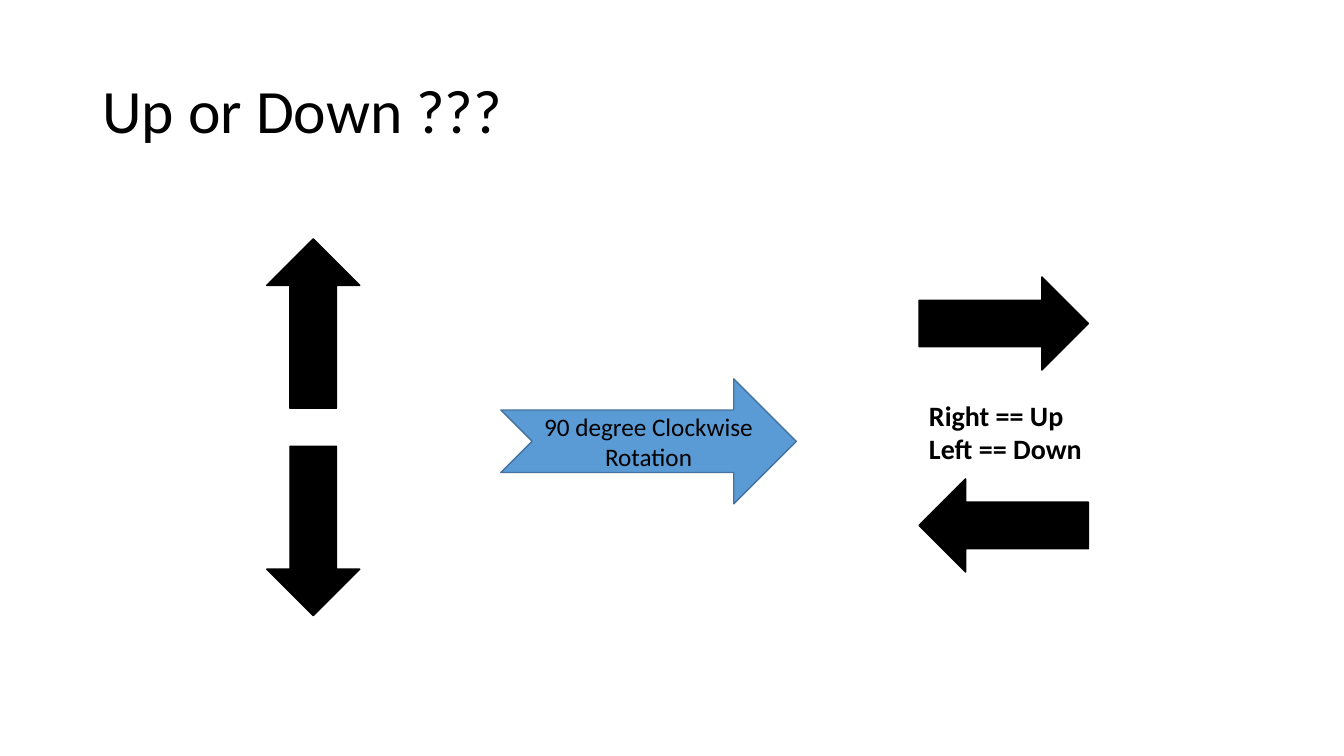
from pptx import Presentation
from pptx.dml.color import RGBColor
from pptx.enum.shapes import MSO_SHAPE as Shape
from pptx.enum.text import MSO_ANCHOR as Anchor, MSO_AUTO_SIZE as AutoSize, PP_ALIGN as Align
from pptx.util import Pt

BLACK = RGBColor(0x00, 0x00, 0x00)
BLUE = RGBColor(0x5B, 0x9B, 0xD5)
DARK_BLUE = RGBColor(0x43, 0x73, 0x9E)


class SlideBuilder:
    font_name = "Calibri"
    text_color = BLACK
    line_width = 1

    def __init__(self, slide):
        self.slide = slide

    def format_text(self, text_frame, size, align, bold=False):
        for paragraph in text_frame.paragraphs:
            paragraph.alignment = align
            for run in paragraph.runs:
                run.font.name = self.font_name
                run.font.size = Pt(size)
                run.font.bold = bold
                run.font.color.rgb = self.text_color

    def title(self, text, left, top, width, height):
        title = self.slide.shapes.title
        title.left, title.top = Pt(left), Pt(top)
        title.width, title.height = Pt(width), Pt(height)
        text_frame = title.text_frame
        text_frame.text = text
        text_frame.word_wrap = True
        text_frame.vertical_anchor = Anchor.MIDDLE
        text_frame.paragraphs[0].line_spacing = 0.9
        self.format_text(text_frame, 44, Align.LEFT)

    def arrow(self, kind, left, top, width, height, fill=BLACK, line=BLACK, rotation=0):
        arrow = self.slide.shapes.add_shape(kind, Pt(left), Pt(top), Pt(width), Pt(height))
        arrow.rotation = rotation
        arrow.shadow.inherit = False
        arrow.fill.solid()
        arrow.fill.fore_color.rgb = fill
        arrow.line.color.rgb = line
        arrow.line.width = Pt(self.line_width)
        return arrow

    def arrow_label(self, arrow, text):
        text_frame = arrow.text_frame
        text_frame.text = text
        text_frame.word_wrap = True
        text_frame.vertical_anchor = Anchor.MIDDLE
        self.format_text(text_frame, 18, Align.CENTER)

    def text_box(self, text, left, top, width, height):
        box = self.slide.shapes.add_textbox(Pt(left), Pt(top), Pt(width), Pt(height))
        text_frame = box.text_frame
        text_frame.text = text
        text_frame.word_wrap = False
        text_frame.auto_size = AutoSize.SHAPE_TO_FIT_TEXT
        self.format_text(text_frame, 20, Align.LEFT, bold=True)


def main():
    presentation = Presentation()
    presentation.slide_width, presentation.slide_height = Pt(960), Pt(540)
    title_only = presentation.slide_layouts[5]
    builder = SlideBuilder(presentation.slides.add_slide(title_only))

    builder.title("Up or Down ???", 66, 28.75, 828, 104.4)
    for left, top, rotation in (
        (190.5, 170.6, 0),
        (190.5, 318.8, 180),
        (683.7, 170.6, 90),
        (683.7, 314.8, 270),
    ):
        builder.arrow(Shape.UP_ARROW, left, top, 66.5, 121, rotation=rotation)

    rotation_arrow = builder.arrow(
        Shape.NOTCHED_RIGHT_ARROW, 357.8, 270.6, 211, 89.3, BLUE, DARK_BLUE
    )
    builder.arrow_label(rotation_arrow, "90 degree Clockwise Rotation")
    builder.text_box("Right == Up\nLeft == Down", 656.5, 281, 125.3, 55.7)

    presentation.save("out.pptx")


if __name__ == "__main__":
    main()
